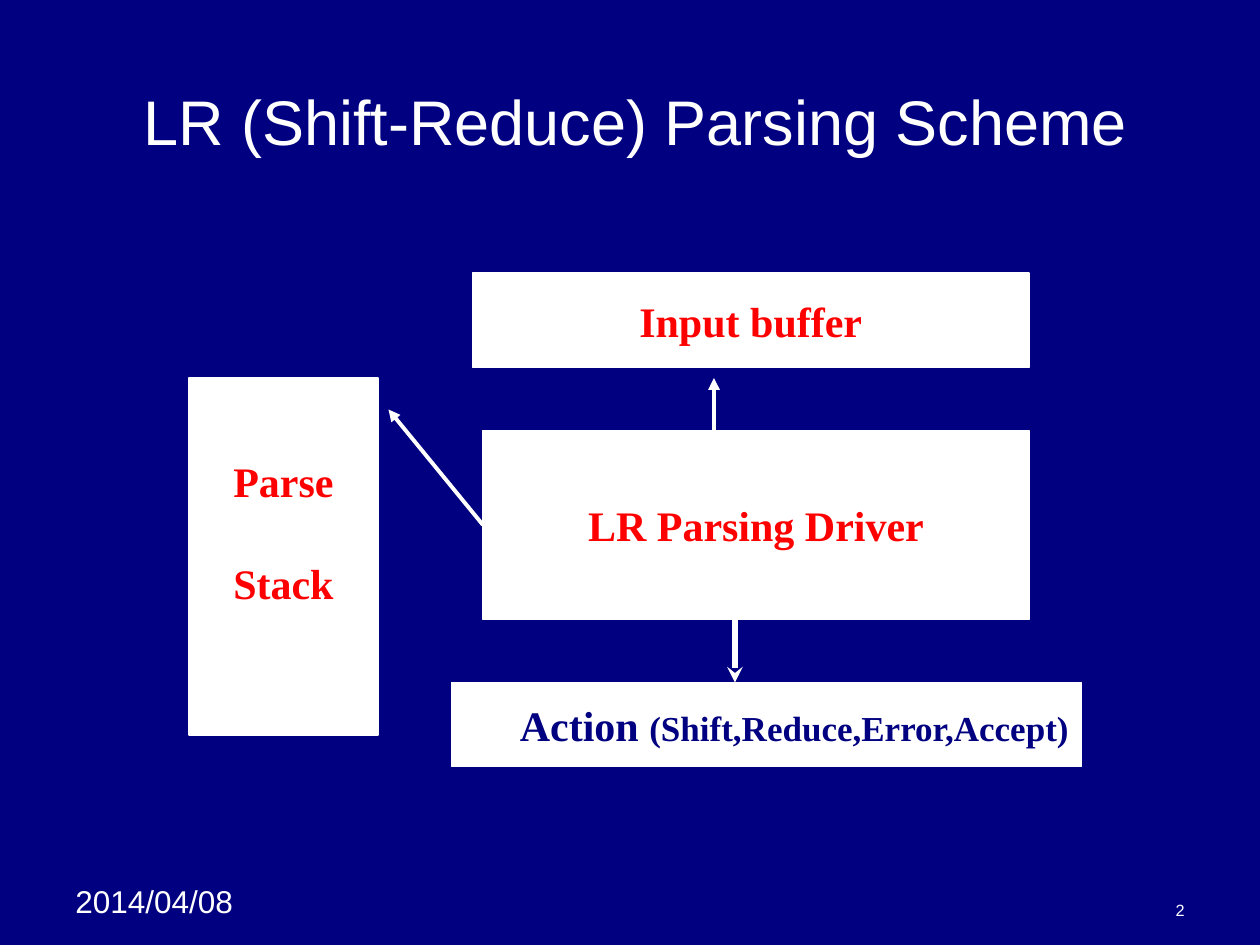
from lxml.etree import SubElement
from pptx import Presentation
from pptx.dml.color import RGBColor
from pptx.enum.shapes import MSO_CONNECTOR, MSO_SHAPE
from pptx.enum.text import MSO_ANCHOR, PP_ALIGN
from pptx.oxml.ns import qn
from pptx.util import Pt

HUES = {"navy": "000080", "white": "FFFFFF", "red": "FF0000"}
SANS = {"name": "Arial", "bold": False}
SERIF = {"name": "Times New Roman", "bold": True}


def hue(name):
    return RGBColor.from_string(HUES[name])


class Deck:
    """Holds the style and the current slide, and draws each kind of element."""

    def __init__(self, wide, high):
        self.file = Presentation()
        self.file.slide_width, self.file.slide_height = Pt(wide), Pt(high)
        self.slide = self.file.slides.add_slide(self.file.slide_layouts[6])
        fill = self.slide.background.fill
        fill.solid()
        fill.fore_color.rgb = hue("navy")

    def text(self, shape, lines, style, color, align, anchor, gap=0, base=3.6):
        frame = shape.text_frame
        form = {"word_wrap": True, "vertical_anchor": anchor,
                "margin_left": Pt(7.2), "margin_right": Pt(7.2),
                "margin_top": Pt(3.6), "margin_bottom": Pt(base)}
        for key, value in form.items():
            setattr(frame, key, value)
        for row, parts in enumerate(lines):
            para = frame.add_paragraph() if row else frame.paragraphs[0]
            para.alignment = align
            if row:
                para.space_before = Pt(gap)
            for words, size in parts:
                run = para.add_run()
                run.text = words
                for key, value in {**style, "size": Pt(size)}.items():
                    setattr(run.font, key, value)
                run.font.color.rgb = hue(color)

    def label(self, area, words, size, align=PP_ALIGN.LEFT, anchor=MSO_ANCHOR.TOP):
        shape = self.slide.shapes.add_textbox(*map(Pt, area))
        self.text(shape, [[(words, size)]], SANS, "white", align, anchor)

    def box(self, area, lines, color="red", align=PP_ALIGN.CENTER, **space):
        shape = self.slide.shapes.add_shape(MSO_SHAPE.RECTANGLE, *map(Pt, area))
        shape.shadow.inherit = False
        shape.fill.solid()
        shape.fill.fore_color.rgb = hue("white")
        shape.line.color.rgb = hue("white")
        shape.line.width = Pt(1)
        self.text(shape, lines, SERIF, color, align, MSO_ANCHOR.MIDDLE, **space)
        return shape

    def arrow(self, ends, width=2.25, head="triangle"):
        link = self.slide.shapes.add_connector(MSO_CONNECTOR.STRAIGHT, *map(Pt, ends))
        link.line.color.rgb = hue("white")
        link.line.width = Pt(width)
        props = link._element.spPr
        SubElement(props.find(qn("a:ln")), qn("a:tailEnd"), type=head)
        SubElement(props, qn("a:effectLst"))
        return link


def main():
    deck = Deck(720, 540)
    deck.label((36, 500.4, 114, 28.8), "2014/04/08", 18)
    deck.label((516, 510, 168, 19.2), "2", 9.3, PP_ALIGN.RIGHT, MSO_ANCHOR.BOTTOM)
    deck.label((42, 36, 642, 66), "LR (Shift-Reduce) Parsing Scheme", 36,
               PP_ALIGN.CENTER, MSO_ANCHOR.MIDDLE)

    deck.box((108, 216, 108, 204), [[("Parse", 24)], [("Stack", 24)]], gap=30, base=32)
    deck.box((270, 156, 318, 54), [[("Input buffer", 24)]])
    driver = deck.box((276, 246, 312, 108), [[("LR Parsing Driver", 24)]])
    deck.box((258, 390, 360, 48),
             [[("Action ", 24), ("(Shift,Reduce,Error,Accept)", 20)]],
             "navy", PP_ALIGN.RIGHT)

    deck.arrow((276, 300, 222, 234)).begin_connect(driver, 1)
    deck.arrow((408, 246, 408, 216))
    deck.arrow((420, 354, 420, 390), 3, "stealth")
    deck.file.save("out.pptx")


if __name__ == "__main__":
    main()
